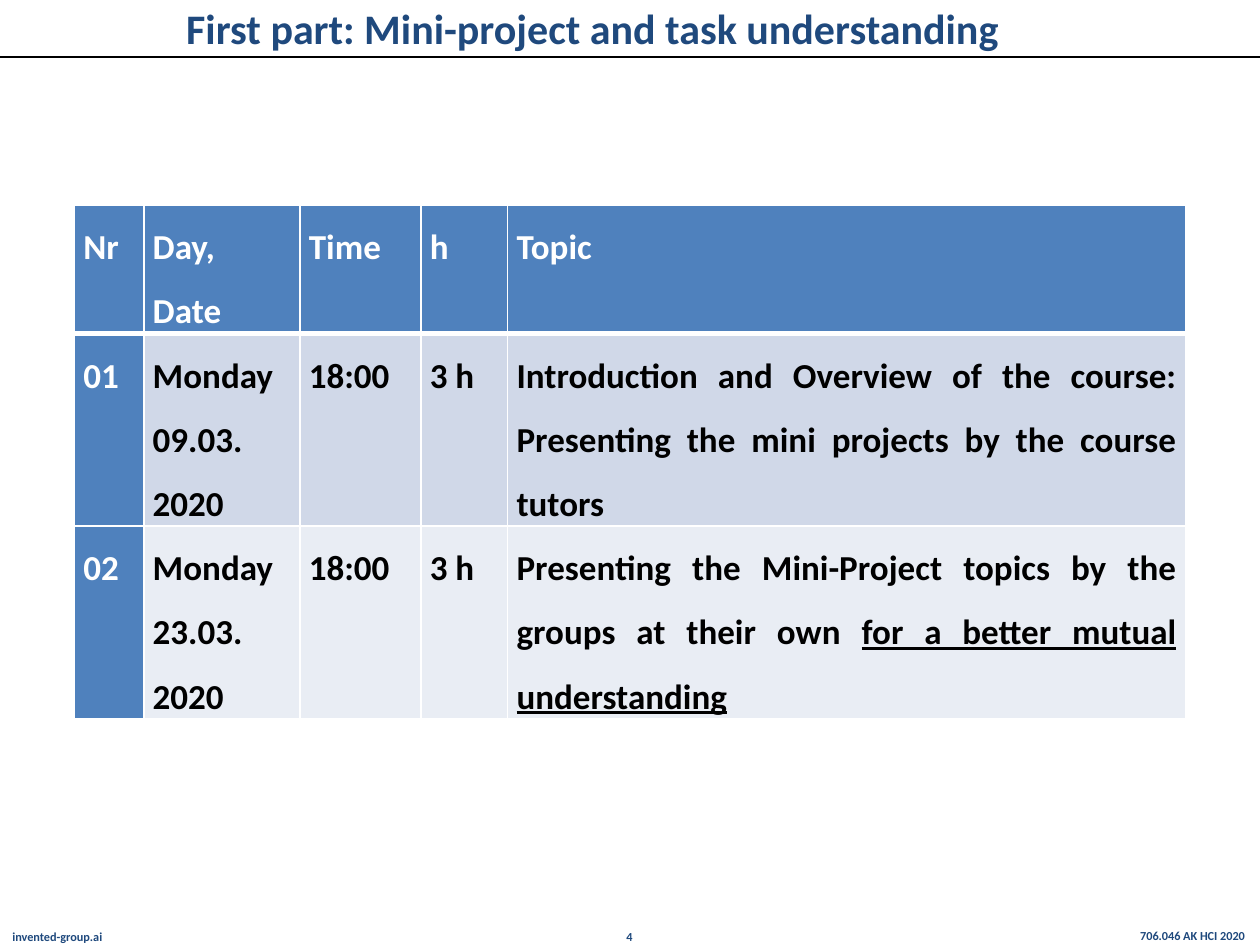
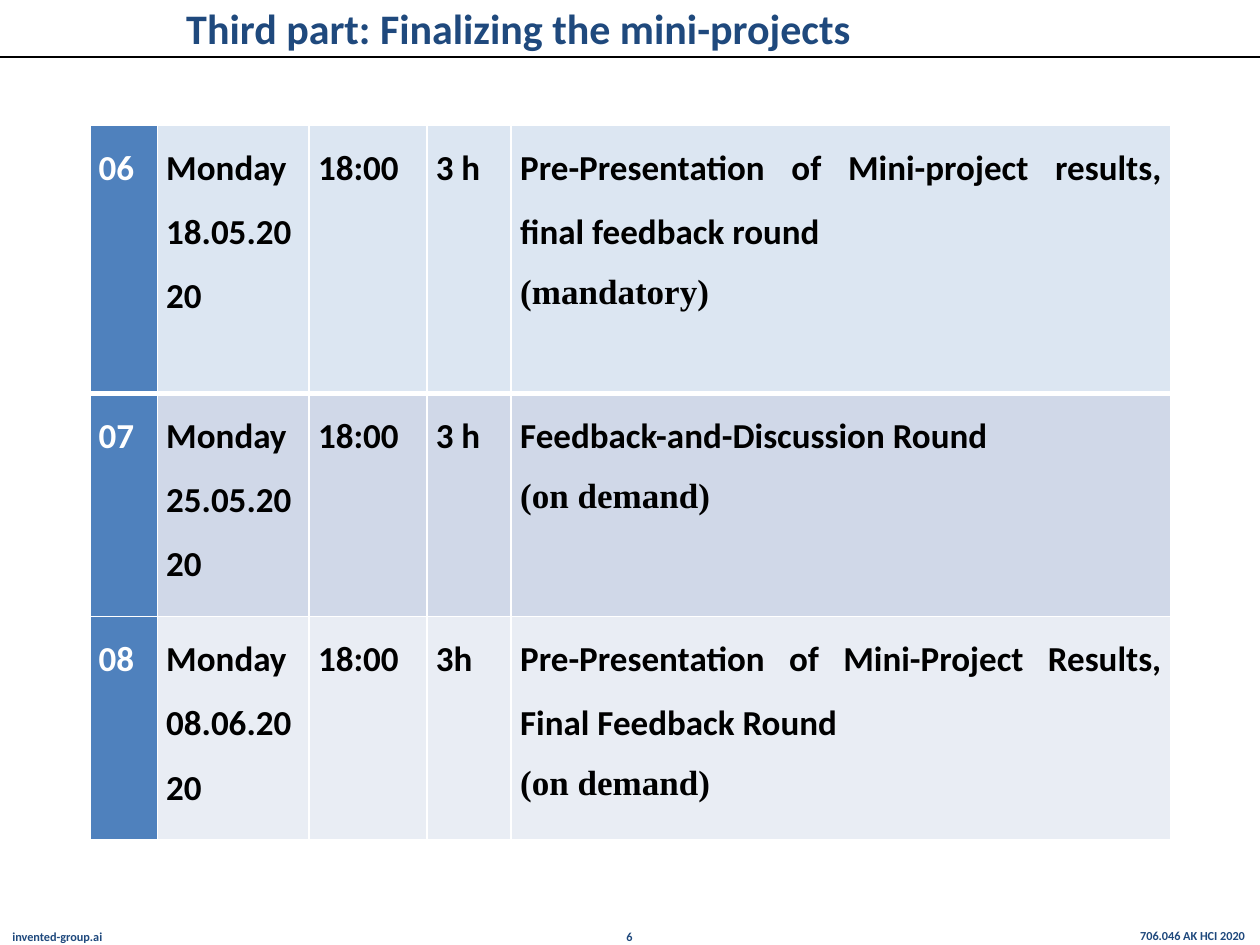
from dataclasses import dataclass

from lxml import etree
from pptx import Presentation, util as u
from pptx.dml.color import RGBColor
from pptx.enum import shapes, text
from pptx.oxml import ns

Cm, Pt = u.Cm, u.Pt
Al, Mid = text.PP_ALIGN, text.MSO_ANCHOR


# Theme: colours, fonts and type sizes
@dataclass(frozen=True)
class Theme:
    navy: str = "1F497D"
    blue: str = "4F81BD"
    ice: str = "DCE6F2"
    mist: str = "D0D8E8"
    pale: str = "E9EDF4"
    white: str = "FFFFFF"
    black: str = "000000"
    sans: str = "Calibri"
    serif: str = "Times New Roman"
    head: float = 24
    cell: float = 20
    foot: float = 7


T = Theme()


@dataclass(frozen=True)
class Run:
    words: str
    font: str = T.sans
    under: bool = False


@dataclass(frozen=True)
class Row:
    cells: tuple  # each cell is text, or a list of paragraphs
    fill: str
    high: float
    head: bool = False


@dataclass(frozen=True)
class Grid:
    left: float
    top: float
    wide: float
    rows: tuple[Row, ...]


@dataclass(frozen=True)
class Page:
    title: str
    num: str
    grid: Grid


@dataclass(frozen=True)
class Foot:
    left: float
    top: float
    wide: float
    align: Al
    words: str


def rgb(code: str) -> RGBColor:
    return RGBColor.from_string(code)


def put(obj, **vals) -> None:
    """Set attributes from a dict of format values."""
    for name, val in vals.items():
        setattr(obj, name, val)


def write(para, run: Run, size: float, tint: str) -> None:
    """Add one bold run to a paragraph."""
    part = para.add_run()
    part.text = run.words
    put(part.font, name=run.font, size=Pt(size), bold=True)
    part.font.color.rgb = rgb(tint)
    if run.under:
        part.font.underline = True


# Parts that every slide shares
FEET = (
    Foot(16.69, 18.29, 8.71, Al.RIGHT, "706.046 AK HCI 2020 "),
    Foot(0, 18.31, 7.9, Al.LEFT, "invented-group.ai"),
)


def add_foot(slide, foot: Foot) -> None:
    box = slide.shapes.add_textbox(Cm(foot.left), Cm(foot.top), Cm(foot.wide), Cm(0.76))
    put(box.text_frame, word_wrap=True, vertical_anchor=Mid.BOTTOM,
        margin_top=0, margin_bottom=Cm(0.05))
    para = box.text_frame.paragraphs[0]
    para.alignment = foot.align
    write(para, Run(foot.words), T.foot, T.navy)


def add_frame(slide, page: Page) -> None:
    """Draw the title, the rule below it and the footers."""
    rule = slide.shapes.add_connector(
        shapes.MSO_CONNECTOR.STRAIGHT, 0, Cm(1.15), Cm(25.4), Cm(1.15))
    rule.line.color.rgb = rgb(T.black)
    rule.line.width = Pt(0.75)
    etree.SubElement(rule._element.spPr, ns.qn("a:effectLst"))

    for foot in (*FEET, Foot(10.34, 18.31, 4.7, Al.CENTER, page.num)):
        add_foot(slide, foot)

    head = slide.shapes.title
    put(head, left=Cm(3.5), top=Cm(-0.03), width=Cm(18.21), height=Cm(1.19))
    put(head.text_frame, word_wrap=True, vertical_anchor=Mid.MIDDLE,
        auto_size=text.MSO_AUTO_SIZE.NONE)
    para = head.text_frame.paragraphs[0]
    para.alignment = Al.LEFT
    write(para, Run(page.title), T.head, T.navy)


# Tables
COLS = (1.4, 3.15, 2.44, 1.75, 13.67)
PAD = dict(margin_left=Cm(0.18), margin_right=Cm(0.18), margin_top=0, margin_bottom=0)


def edge(cell, thick: dict[str, float]) -> None:
    """Give a cell white borders; this must come before its fill."""
    props = cell._tc.get_or_add_tcPr()
    for side in "LRTB":
        line = etree.SubElement(props, ns.qn("a:ln" + side), w=str(Pt(thick.get(side, 1))))
        fill = etree.SubElement(line, ns.qn("a:solidFill"))
        etree.SubElement(fill, ns.qn("a:srgbClr"), val=T.white)


def fill_cell(cell, paras, back: str, tint: str) -> None:
    put(cell, **PAD)
    cell.fill.solid()
    cell.fill.fore_color.rgb = rgb(back)
    frame = cell.text_frame
    for i, runs in enumerate([paras] if isinstance(paras, str) else paras):
        para = frame.add_paragraph() if i else frame.paragraphs[0]
        put(para, alignment=Al.JUSTIFY, line_spacing=1.5)
        for run in [Run(runs)] if isinstance(runs, str) else runs:
            write(para, run, T.cell, tint)


def add_grid(slide, grid: Grid) -> None:
    high = sum(row.high for row in grid.rows)
    table = slide.shapes.add_table(
        len(grid.rows), len(COLS),
        Cm(grid.left), Cm(grid.top), Cm(grid.wide), Cm(high)).table
    put(table, first_row=False, horz_banding=False)
    for col, part in zip(table.columns, COLS):
        col.width = Cm(part * grid.wide / sum(COLS))
    for r, row in enumerate(grid.rows):
        table.rows[r].height = Cm(row.high)
        # A thick border parts the first row from the rest
        thick = {0: {"B": 3}, 1: {"T": 3}}.get(r, {})
        for c, paras in enumerate(row.cells):
            cell = table.cell(r, c)
            edge(cell, thick)
            blue = row.head or c == 0
            fill_cell(cell, paras, T.blue if blue else row.fill,
                      T.white if blue else T.black)


# Content
def note(words: str) -> list[Run]:
    return [Run(words, font=T.serif)]


FIRST = Grid(1.5, 4.13, 22.4, (
    Row(("Nr", "Day, Date", "Time", "h", "Topic"), T.blue, 2.59, head=True),
    Row(("01", ["Monday", "09.03.", "2020"], "18:00", "3 h",
         "Introduction and Overview of the course: "
         "Presenting the mini projects by the course tutors"), T.mist, 3.88),
    Row(("02", ["Monday", "23.03.", "2020"], "18:00", "3 h",
         [[Run("Presenting the Mini-Project topics by the groups at their own "),
           Run("for a better mutual understanding", under=True)]]), T.pale, 3.88),
))

THIRD = Grid(1.81, 2.53, 21.79, (
    Row(("06", ["Monday", "18.05.2020"], "18:00", "3 h",
         ["Pre-Presentation of Mini-project results, final feedback round",
          note("(mandatory)")]), T.ice, 5.4),
    Row(("07", ["Monday", "25.05.2020"], "18:00", "3 h",
         ["Feedback-and-Discussion Round", note("(on demand)")]), T.mist, 4.5),
    Row(("08", ["Monday", "08.06.2020"], "18:00", "3h",
         ["Pre-Presentation of Mini-Project Results, Final Feedback Round",
          note("(on demand)")]), T.pale, 4.5),
))

PAGES = (
    Page("First part: Mini-project and task understanding", "4", FIRST),
    Page("Third part: Finalizing the mini-projects", "6", THIRD),
)


def main() -> None:
    deck = Presentation()
    put(deck, slide_width=Cm(25.4), slide_height=Cm(19.05))
    for page in PAGES:
        slide = deck.slides.add_slide(deck.slide_layouts[5])
        add_frame(slide, page)
        add_grid(slide, page.grid)
    deck.save("out.pptx")


main()
